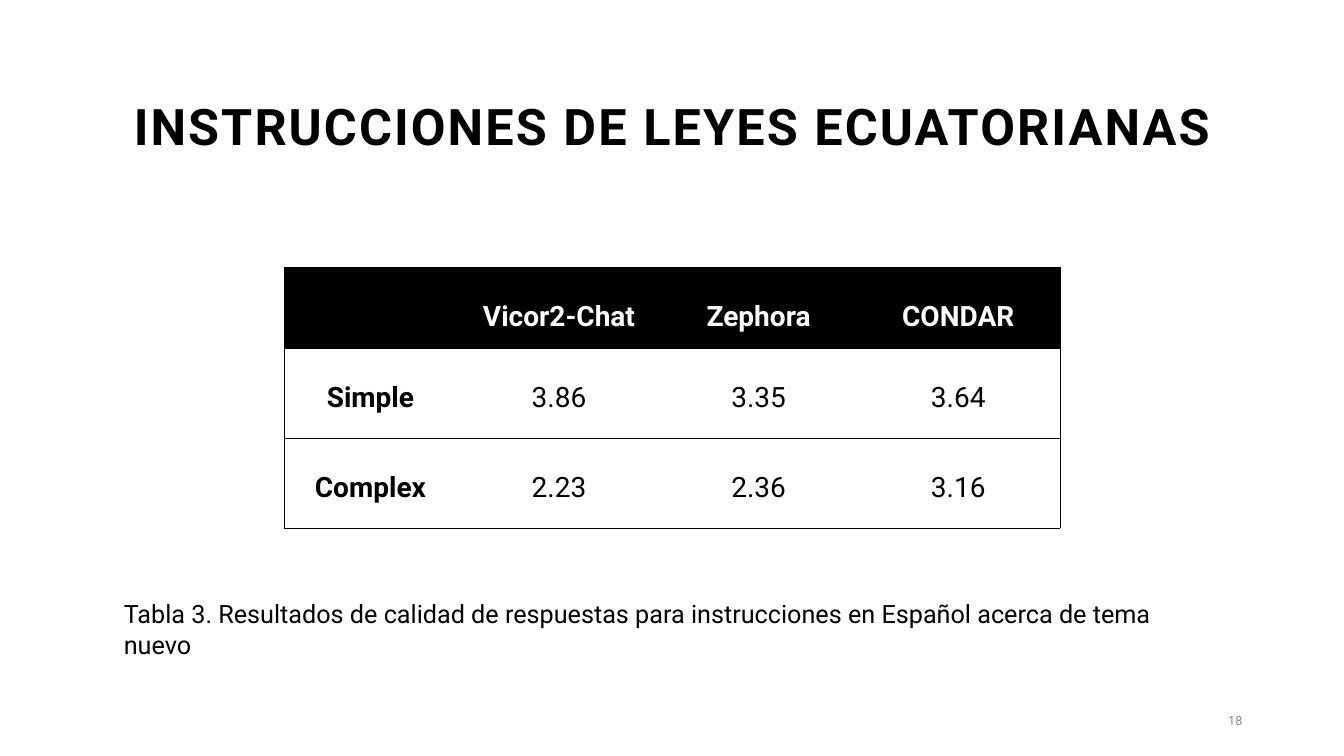
import pptx
import pptx.util
import pptx.oxml
import pptx.oxml.ns
import pptx.dml.color
import pptx.enum.text

Inches, Pt = pptx.util.Inches, pptx.util.Pt
ALIGN, ANCHOR = pptx.enum.text.PP_ALIGN, pptx.enum.text.MSO_ANCHOR
COLORS = {"ink": "000000", "paper": "FFFFFF", "muted": "8C8C8C"}
FONT = "Roboto"
WIDE, HIGH = 13.33, 7.5

SCORES = [
    ["", "Vicor2-Chat", "Zephora", "CONDAR"],
    ["Simple", "3.86", "3.35", "3.64"],
    ["Complex", "2.23", "2.36", "3.16"],
]
COLS = [1.72, 2.02, 1.94, 2.02]
ROWS = [0.81, 0.89, 0.89]


def color(name):
    return pptx.dml.color.RGBColor.from_string(COLORS[name])


def style(para, size, tone="ink", bold=False, align=ALIGN.LEFT):
    para.alignment = align
    font = para.font
    font.name, font.size, font.bold = FONT, Pt(size), bold
    font.color.rgb = color(tone)


def place(shape, box):
    shape.left, shape.top, shape.width, shape.height = map(Inches, box)


def add_title(slide, box, text):
    title = slide.shapes.title
    place(title, box)
    frame = title.text_frame
    frame.text = text
    frame.word_wrap = True
    frame.vertical_anchor = ANCHOR.BOTTOM
    para = frame.paragraphs[0]
    style(para, 36, bold=True, align=ALIGN.CENTER)
    para.line_spacing = 0.9
    para.runs[0]._r.get_or_add_rPr().set("spc", "150")


def add_text(slide, box, text, size, tone="ink", align=ALIGN.LEFT, anchor=ANCHOR.TOP):
    frame = slide.shapes.add_textbox(*map(Inches, box)).text_frame
    frame.text = text
    frame.word_wrap = True
    frame.vertical_anchor = anchor
    style(frame.paragraphs[0], size, tone, align=align)


def set_edges(cell, drawn):
    """Draw the named sides (L, R, T, B) and clear the others."""
    props = cell._tc.get_or_add_tcPr()
    for spot, side in enumerate("LRTB"):
        fill = "<a:noFill/>"
        if side in drawn:
            fill = f'<a:solidFill><a:srgbClr val="{COLORS["ink"]}"/></a:solidFill>'
        line = f'<a:ln{side} {pptx.oxml.ns.nsdecls("a")} w="{Pt(0.5)}">{fill}</a:ln{side}>'
        props.insert(spot, pptx.oxml.parse_xml(line))


def add_scores(slide, left, top):
    box = map(Inches, (left, top, sum(COLS), sum(ROWS)))
    table = slide.shapes.add_table(len(ROWS), len(COLS), *box).table
    table.first_row = table.horz_banding = False
    for col, width in zip(table.columns, COLS):
        col.width = Inches(width)
    for r, (row, height) in enumerate(zip(table.rows, ROWS)):
        row.height = Inches(height)
        for c, cell in enumerate(row.cells):
            head = r == 0
            cell.text = SCORES[r][c]
            cell.margin_left = cell.margin_right = Inches(0.07)
            cell.margin_top = cell.margin_bottom = 0
            para = cell.text_frame.paragraphs[0]
            style(para, 20, "paper" if head else "ink", head or c == 0, ALIGN.CENTER)
            para.line_spacing, para.space_before = 2.0, Pt(6)
            cell.fill.solid()
            cell.fill.fore_color.rgb = color("ink" if head else "paper")
            sides = "L" if c == 0 else "R" if c == len(COLS) - 1 else ""
            set_edges(cell, "TB" + sides)


def build():
    deck = pptx.Presentation()
    deck.slide_width, deck.slide_height = Inches(WIDE), Inches(HIGH)
    slide = deck.slides.add_slide(deck.slide_layouts[5])
    add_title(slide, (0.92, 0.15, 11.5, 1.45), "INSTRUCCIONES DE LEYES ECUATORIANAS")
    add_scores(slide, (WIDE - sum(COLS)) / 2, 2.65)
    add_text(slide, (9.42, 6.95, 3, 0.4), "18", 9, "muted", ALIGN.RIGHT, ANCHOR.MIDDLE)
    caption = ("Tabla 3. Resultados de calidad de respuestas para instrucciones "
               "en Español acerca de tema nuevo")
    add_text(slide, (1.13, 5.89, 11.07, 0.4), caption, 18)
    deck.save("out.pptx")


if __name__ == "__main__":
    build()
